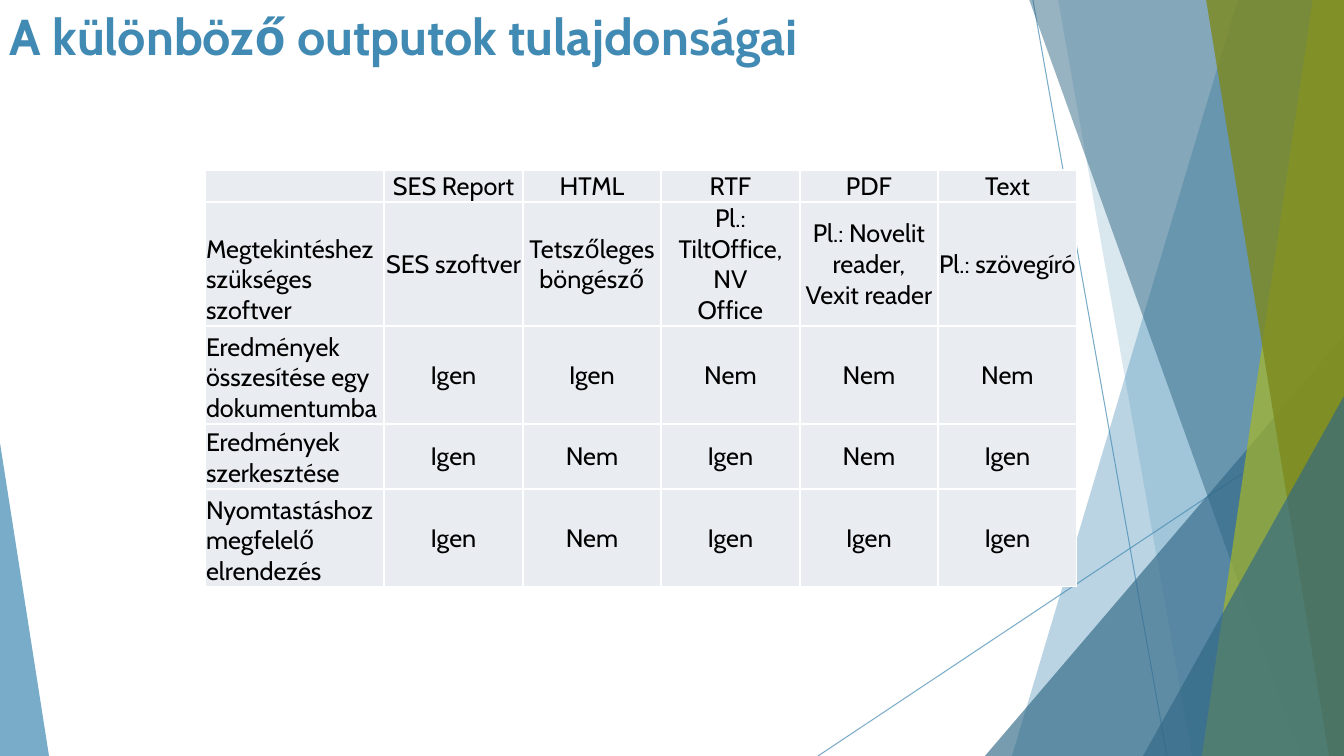
from itertools import pairwise

from lxml.etree import SubElement
from pptx import Presentation
from pptx.dml.color import RGBColor
from pptx.enum.shapes import MSO_CONNECTOR, MSO_SHAPE
from pptx.enum.text import MSO_ANCHOR as ANCHOR, PP_ALIGN as ALIGN
from pptx.oxml.ns import qn
from pptx.util import Pt

PX = 12192000 / 1344
WIDTH, HEIGHT = 1344, 756
FONT = "Cabin"
COLORS = {
    "blue": "418AB3",
    "navy": "316886",
    "lime": "A6B727",
    "olive": "7D891D",
    "cell": "E9EDF2",
    "border": "FFFFFF",
    "text": "000000",
}

HEADINGS = ["", "SES Report", "HTML", "RTF", "PDF", "Text"]
PROPERTIES = [
    ["Megtekintéshez szükséges szoftver", "SES szoftver", "Tetszőleges böngésző",
     "Pl.: TiltOffice,\vNV\vOffice", "Pl.: Novelit reader,\vVexit reader",
     "Pl.: szövegíró"],
    ["Eredmények összesítése egy dokumentumba", "Igen", "Igen", "Nem", "Nem", "Nem"],
    ["Eredmények szerkesztése", "Igen", "Nem", "Igen", "Nem", "Igen"],
    ["Nyomtastáshoz megfelelő elrendezés", "Igen", "Nem", "Igen", "Igen", "Igen"],
]
ROW_HEIGHTS = [32, 124, 98, 65, 98]
LABEL_WIDTH = 179


def px(length):
    return round(length * PX)


def rgb(color):
    return RGBColor.from_string(COLORS[color])


def set_alpha(fill_owner, percent):
    """Make the solid colour inside an XML element partly transparent."""
    color = next(fill_owner.iter(qn("a:srgbClr")))
    SubElement(color, qn("a:alpha"), val=str(percent * 1000))


def paint(facet, color, percent):
    facet.shadow.inherit = False
    facet.fill.solid()
    facet.fill.fore_color.rgb = rgb(color)
    facet.line.fill.background()
    set_alpha(facet._element.spPr, percent)


def add_ray(slide, *ends):
    ray = slide.shapes.add_connector(MSO_CONNECTOR.STRAIGHT, *map(px, ends))
    ray.line.color.rgb = rgb("blue")
    ray.line.width = Pt(0.75)
    set_alpha(ray._element.spPr, 70)
    SubElement(ray._element.spPr, qn("a:effectLst"))


def add_band(slide, top_x, bottom_x, color, percent):
    """Fill from a slanted left edge to the right side of the slide."""
    outline = slide.shapes.build_freeform(top_x, -1, scale=PX)
    outline.add_line_segments([(WIDTH, -1), (WIDTH, HEIGHT), (bottom_x, HEIGHT)])
    paint(outline.convert_to_shape(), color, percent)


def add_corner(slide, left, top, width, apex, color, percent):
    """Stand a right-angled triangle on the bottom of the slide."""
    corner = slide.shapes.add_shape(
        MSO_SHAPE.ISOSCELES_TRIANGLE, px(left), px(top), px(width), px(HEIGHT - top))
    corner.adjustments[0] = apex
    paint(corner, color, percent)


def add_backdrop(slide):
    add_ray(slide, 1033, 0, 1167, HEIGHT)
    add_ray(slide, WIDTH, 406, 818, HEIGHT)
    add_band(slide, 1238, 1012, "blue", 36)
    add_band(slide, 1058, 1192, "blue", 20)
    add_corner(slide, 985, 336, 359, 1, "navy", 66)
    add_band(slide, 1029, 1301, "navy", 50)
    add_band(slide, 1313, 1202, "lime", 70)
    add_band(slide, 1206, 1329, "olive", 80)
    add_corner(slide, 1143, 396, 201, 1, "navy", 66)
    add_corner(slide, 0, 443, 49, 0, "blue", 70)


def style_font(font, size, color, bold=False):
    font.name = FONT
    font.size = Pt(size)
    font.bold = bold
    font.color.rgb = rgb(color)


def add_title(slide, left, top, width, height):
    title = slide.shapes.add_textbox(px(left), px(top), px(width), px(height)).text_frame
    title.word_wrap = True
    title.text = "A különböző outputok tulajdonságai"
    style_font(title.paragraphs[0].font, 36, "blue", bold=True)


def add_borders(cell):
    properties = cell._tc.get_or_add_tcPr()
    for side in ("lnL", "lnR", "lnT", "lnB"):
        border = SubElement(properties, qn(f"a:{side}"), w=str(Pt(1)))
        fill = SubElement(border, qn("a:solidFill"))
        SubElement(fill, qn("a:srgbClr"), val=COLORS["border"])


def fill_cell(cell, wording, is_heading, is_label):
    add_borders(cell)
    cell.fill.solid()
    cell.fill.fore_color.rgb = rgb("cell")
    cell.margin_left = cell.margin_right = cell.margin_top = px(1)
    cell.margin_bottom = 0
    cell.vertical_anchor = ANCHOR.BOTTOM if is_heading or is_label else ANCHOR.MIDDLE
    cell.text = wording
    paragraph = cell.text_frame.paragraphs[0]
    paragraph.alignment = ALIGN.LEFT if is_label else ALIGN.CENTER
    style_font(paragraph.font, 18, "text")


def add_comparison(slide, left, top, width):
    rows = [HEADINGS, *PROPERTIES]
    outputs = len(HEADINGS) - 1
    table = slide.shapes.add_table(
        len(rows), len(HEADINGS), px(left), px(top), px(width), px(sum(ROW_HEIGHTS))).table
    table.first_row = table.horz_banding = False
    edges = [0] + [LABEL_WIDTH + round((width - LABEL_WIDTH) * i / outputs)
                   for i in range(outputs + 1)]
    for column, (start, end) in zip(table.columns, pairwise(edges)):
        column.width = px(end - start)
    for r, (wordings, height) in enumerate(zip(rows, ROW_HEIGHTS)):
        table.rows[r].height = px(height)
        for c, wording in enumerate(wordings):
            fill_cell(table.cell(r, c), wording, r == 0, c == 0)


def main():
    deck = Presentation()
    deck.slide_width, deck.slide_height = px(WIDTH), px(HEIGHT)
    slide = deck.slides.add_slide(deck.slide_layouts[6])
    add_backdrop(slide)
    add_title(slide, 0, 0, 1282, 145)
    add_comparison(slide, 205, 170, 872)
    deck.save("out.pptx")


if __name__ == "__main__":
    main()
